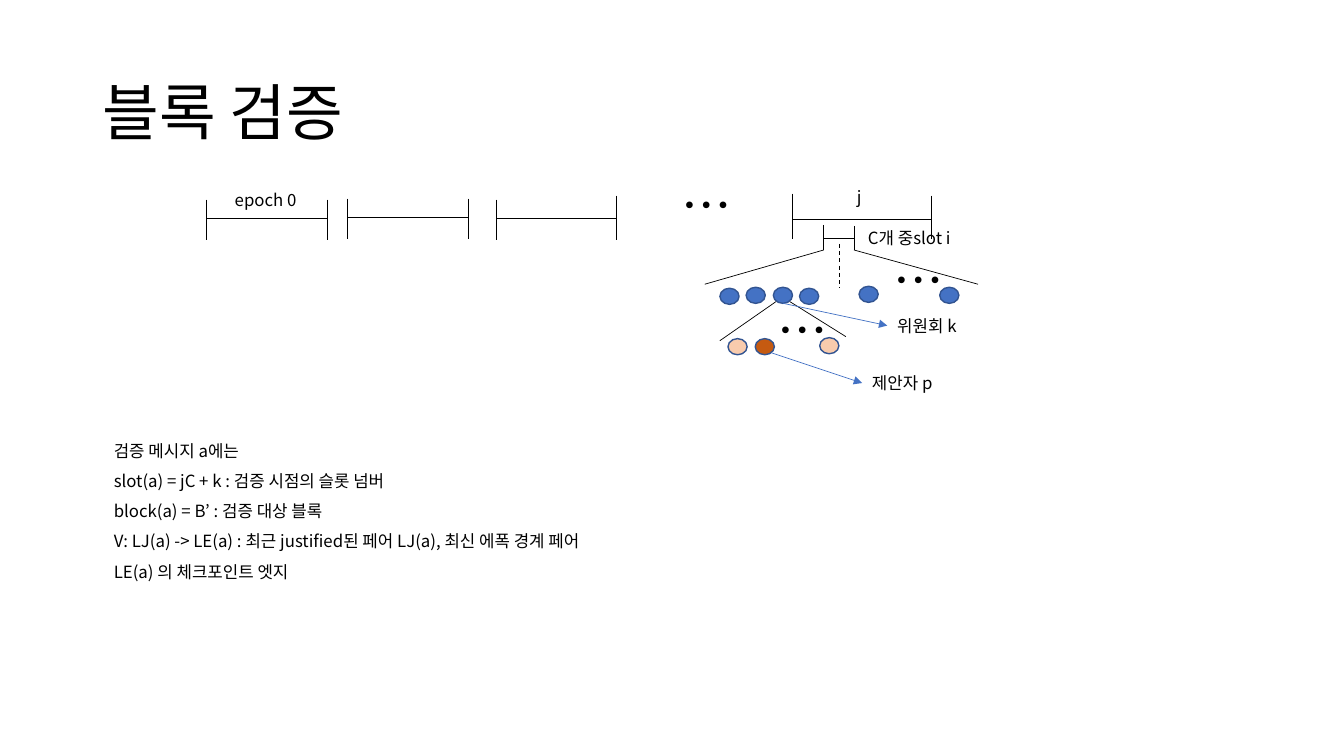
from dataclasses import dataclass

from lxml import etree
from pptx import Presentation
from pptx.dml.color import RGBColor
from pptx.enum.dml import MSO_LINE
from pptx.enum.shapes import MSO_CONNECTOR, MSO_SHAPE
from pptx.enum.text import MSO_ANCHOR, MSO_AUTO_SIZE
from pptx.oxml.ns import qn
from pptx.util import Pt

STRAIGHT = MSO_CONNECTOR.STRAIGHT
OVAL = MSO_SHAPE.OVAL
DASH = MSO_LINE.DASH
MIDDLE, TOP = MSO_ANCHOR.MIDDLE, MSO_ANCHOR.TOP
GROW, FIXED = MSO_AUTO_SIZE.SHAPE_TO_FIT_TEXT, MSO_AUTO_SIZE.NONE
LEFT_SIDE = 1


@dataclass(frozen=True)
class Theme:
    font: str = "Noto Sans CJK KR"
    ink: str = "000000"
    blue: str = "4472C4"
    outline: str = "325491"
    peach: str = "F8CBAD"
    rust: str = "C55A11"
    title: int = 44
    dots: int = 36
    body: int = 12
    thin: float = 0.5
    dashed: float = 0.75
    border: float = 1


THEME = Theme()
EMU_PER_PX = 9144
PAGE_SIZE = (1333, 750)

TITLE = ("블록 검증", (92, 42, 1150, 145))
MESSAGE = (
    [
        "검증 메시지 a에는",
        "slot(a) = jC + k : 검증 시점의 슬롯 넘버",
        "block(a) = B’ : 검증 대상 블록",
        "V: LJ(a) -> LE(a) : 최근 justified된 페어 LJ(a), 최신 에폭 경계 페어 LE(a) 의 체크포인트 엣지",
    ],
    (103, 422, 508, 158),
)
LABELS = [
    ("j", (840, 180, 26, 30)),
    ("epoch 0", (223, 183, 83, 30)),
    ("C개 중slot i", (851, 221, 133, 30)),
]
ELLIPSES = [(666, 168, 59, 71), (876, 242, 43, 71), (761, 292, 43, 71)]

# left, right, axis, left top, right top, bottom
SPANS = [
    (205, 325, 217, 198, 198, 238),
    (345, 465, 216, 197, 197, 237),
    (492, 611, 217, 198, 194, 238),
    (786, 924, 218, 192, 194, 237),
    (817, 847, 236, 223, 224, 248),
]
FANS = [
    ((817, 248), (699, 282)),
    ((847, 248), (970, 282)),
    ((770, 299), (714, 338)),
    ((783, 299), (839, 334)),
]
SLOT_AXIS = ((833, 242), (833, 285))
NODE_SIZE = (19, 16)
COMMITTEES = [(714, 286), (740, 285), (767, 285), (793, 286), (852, 284), (932, 285)]
VALIDATORS = [
    (722, 336, THEME.peach),
    (749, 336, THEME.rust),
    (813, 335, THEME.peach),
]
CALLOUTS = [
    ("위원회 k", (880, 308, 87, 30), (777, 301)),
    ("제안자 p", (855, 365, 87, 30), (765, 350)),
]


def px(*values):
    return [value * EMU_PER_PX for value in values]


def add_text(page, lines, bounds, size, spacing=None, anchor=TOP, fit=GROW):
    box = page.shapes.add_textbox(*px(*bounds))
    frame = box.text_frame
    frame.word_wrap = True
    frame.auto_size = fit
    frame.vertical_anchor = anchor
    for index, line in enumerate(lines):
        para = frame.add_paragraph() if index else frame.paragraphs[0]
        if spacing:
            para.line_spacing = spacing
        span = para.add_run()
        span.text = line
        span.font.size = Pt(size)
        span.font.name = THEME.font
        span.font.color.rgb = RGBColor.from_string(THEME.ink)
        properties = span.font._element
        etree.SubElement(properties, qn("a:ea"), typeface=THEME.font)
    return box


def add_line(page, start, end, color=THEME.ink, width=THEME.thin):
    line = page.shapes.add_connector(STRAIGHT, *px(*start, *end))
    line.line.color.rgb = RGBColor.from_string(color)
    line.line.width = Pt(width)
    etree.SubElement(line._element.spPr, qn("a:effectLst"))
    return line


def add_span(page, left, right, axis, left_top, right_top, bottom):
    add_line(page, (left, left_top), (left, bottom))
    add_line(page, (right, right_top), (right, bottom))
    add_line(page, (left, axis), (right, axis))


def add_node(page, left, top, fill):
    node = page.shapes.add_shape(OVAL, *px(left, top, *NODE_SIZE))
    node.shadow.inherit = False
    node.fill.solid()
    node.fill.fore_color.rgb = RGBColor.from_string(fill)
    node.line.color.rgb = RGBColor.from_string(THEME.outline)
    node.line.width = Pt(THEME.border)


def add_callout(page, label, bounds, start):
    left, top, width, height = bounds
    box = add_text(page, [label], bounds, THEME.body)
    arrow = add_line(page, start, (left, top + height // 2), THEME.blue)
    arrow.end_connect(box, LEFT_SIDE)
    etree.SubElement(arrow.line._get_or_add_ln(), qn("a:tailEnd"), type="triangle")


def main():
    deck = Presentation()
    deck.slide_width, deck.slide_height = px(*PAGE_SIZE)
    page = deck.slides.add_slide(deck.slide_layouts[6])

    title, title_bounds = TITLE
    add_text(page, [title], title_bounds, THEME.title, 0.9, MIDDLE, FIXED)
    for span in SPANS:
        add_span(page, *span)
    for start, end in FANS:
        add_line(page, start, end)
    add_line(page, *SLOT_AXIS, width=THEME.dashed).line.dash_style = DASH
    for left, top in COMMITTEES:
        add_node(page, left, top, THEME.blue)
    for left, top, fill in VALIDATORS:
        add_node(page, left, top, fill)
    for callout in CALLOUTS:
        add_callout(page, *callout)
    for bounds in ELLIPSES:
        add_text(page, ["…"], bounds, THEME.dots)
    for label, bounds in LABELS:
        add_text(page, [label], bounds, THEME.body)
    lines, message_bounds = MESSAGE
    add_text(page, lines, message_bounds, THEME.body, 1.5)

    deck.save("out.pptx")


if __name__ == "__main__":
    main()
